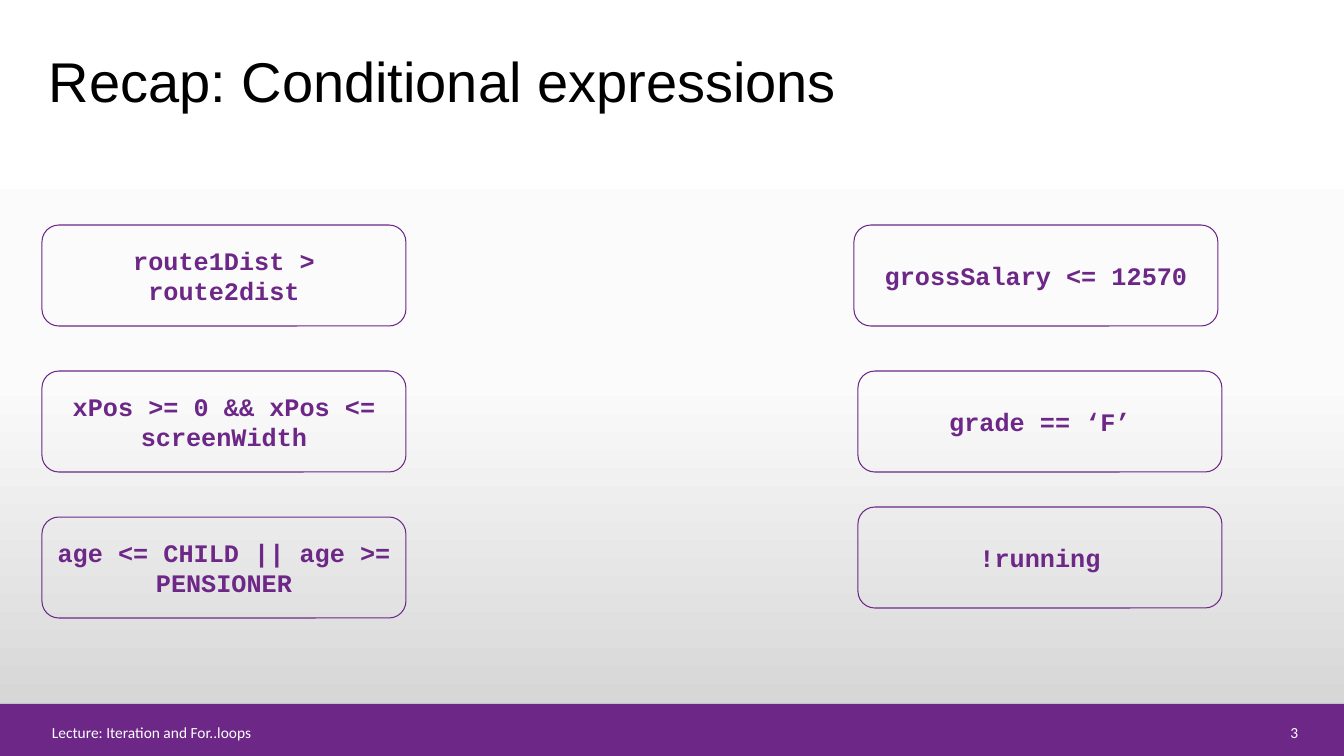
import copy
import dataclasses

import pptx
import pptx.dml.color
import pptx.enum.shapes
import pptx.enum.text
import pptx.oxml.ns
import pptx.util

SHAPES = pptx.enum.shapes.MSO_SHAPE
ALIGN = pptx.enum.text.PP_ALIGN
ANCHOR = pptx.enum.text.MSO_ANCHOR


@dataclasses.dataclass(frozen=True)
class Theme:
    """Colours, fonts and type sizes of the slide."""

    purple: str = "6C2787"
    white: str = "FFFFFF"
    black: str = "000000"
    background: tuple = ((0, "FFFFFF"), (0.5, "FBFBFB"), (1, "D1D1D1"))
    title_font: str = "Arial"
    code_font: str = "Courier New"
    footer_font: str = "Calibri"
    title_size: int = 40
    code_size: int = 18
    footer_size: int = 11


THEME = Theme()
SLIDE_WIDTH, SLIDE_HEIGHT = 1344, 756
CARD_WIDTH, CARD_HEIGHT = 364, 101
EXPRESSIONS = (
    (42, 225, "route1Dist > route2dist"),
    (42, 371, "xPos >= 0 && xPos <= screenWidth"),
    (42, 517, "age <= CHILD || age >= PENSIONER"),
    (854, 225, "grossSalary <= 12570"),
    (858, 371, "grade == ‘F’"),
    (858, 507, "!running"),
)


def px(length):
    """Turn pixels into EMU."""
    return pptx.util.Emu(round(length * 914400 / 100.8))


def rgb(value):
    """Make a colour from its hexadecimal form."""
    return pptx.dml.color.RGBColor.from_string(value)


def set_text(shape, text, font, size, color, align=ALIGN.LEFT, anchor=ANCHOR.TOP, bold=False):
    """Write one formatted paragraph into a shape."""
    frame = shape.text_frame
    frame.text = text
    frame.word_wrap = True
    frame.vertical_anchor = anchor
    paragraph = frame.paragraphs[0]
    paragraph.alignment = align
    for run in paragraph.runs:
        run.font.name = font
        run.font.size = pptx.util.Pt(size)
        run.font.bold = bold
        run.font.color.rgb = rgb(color)


def paint_background(slide):
    """Fill the background with a vertical three-stop gradient."""
    fill = slide.background.fill
    fill.gradient()
    fill.gradient_angle = 270
    stop_list = slide.element.find(".//" + pptx.oxml.ns.qn("a:gsLst"))
    stop_list.insert(1, copy.deepcopy(stop_list[0]))
    for stop, (position, color) in zip(fill.gradient_stops, THEME.background):
        stop.position = position
        stop.color.rgb = rgb(color)


def add_label(slide, box, text, font, size, color, **options):
    """Add a text box."""
    label = slide.shapes.add_textbox(*map(px, box))
    set_text(label, text, font, size, color, **options)


def add_footer(slide, lecture, number):
    """Add the purple bar with the lecture name and slide number."""
    bar = slide.shapes.add_shape(SHAPES.RECTANGLE, *map(px, (0, 704, SLIDE_WIDTH, 52)))
    bar.shadow.inherit = False
    bar.fill.solid()
    bar.fill.fore_color.rgb = rgb(THEME.purple)
    bar.line.fill.background()
    style = (THEME.footer_font, THEME.footer_size, THEME.white)
    add_label(slide, (42, 718, 1174, 23), lecture, *style)
    add_label(slide, (1233, 718, 75, 23), number, *style, align=ALIGN.RIGHT)


def add_expression(slide, left, top, code):
    """Add an outlined card holding a conditional expression."""
    box = (left, top, CARD_WIDTH, CARD_HEIGHT)
    card = slide.shapes.add_shape(SHAPES.ROUNDED_RECTANGLE, *map(px, box))
    card.shadow.inherit = False
    card.fill.background()
    card.line.color.rgb = rgb(THEME.purple)
    card.line.width = pptx.util.Pt(0.75)
    set_text(card, code, THEME.code_font, THEME.code_size, THEME.purple,
             align=ALIGN.CENTER, anchor=ANCHOR.MIDDLE, bold=True)


def main():
    """Build and save the slide."""
    presentation = pptx.Presentation()
    presentation.slide_width = px(SLIDE_WIDTH)
    presentation.slide_height = px(SLIDE_HEIGHT)
    slide = presentation.slides.add_slide(presentation.slide_layouts[6])
    paint_background(slide)
    add_footer(slide, "Lecture: Iteration and For..loops", "3")
    add_label(slide, (39, 36, 1044, 88), "Recap: Conditional expressions",
              THEME.title_font, THEME.title_size, THEME.black, anchor=ANCHOR.MIDDLE)
    for left, top, code in EXPRESSIONS:
        add_expression(slide, left, top, code)
    presentation.save("out.pptx")


if __name__ == "__main__":
    main()
